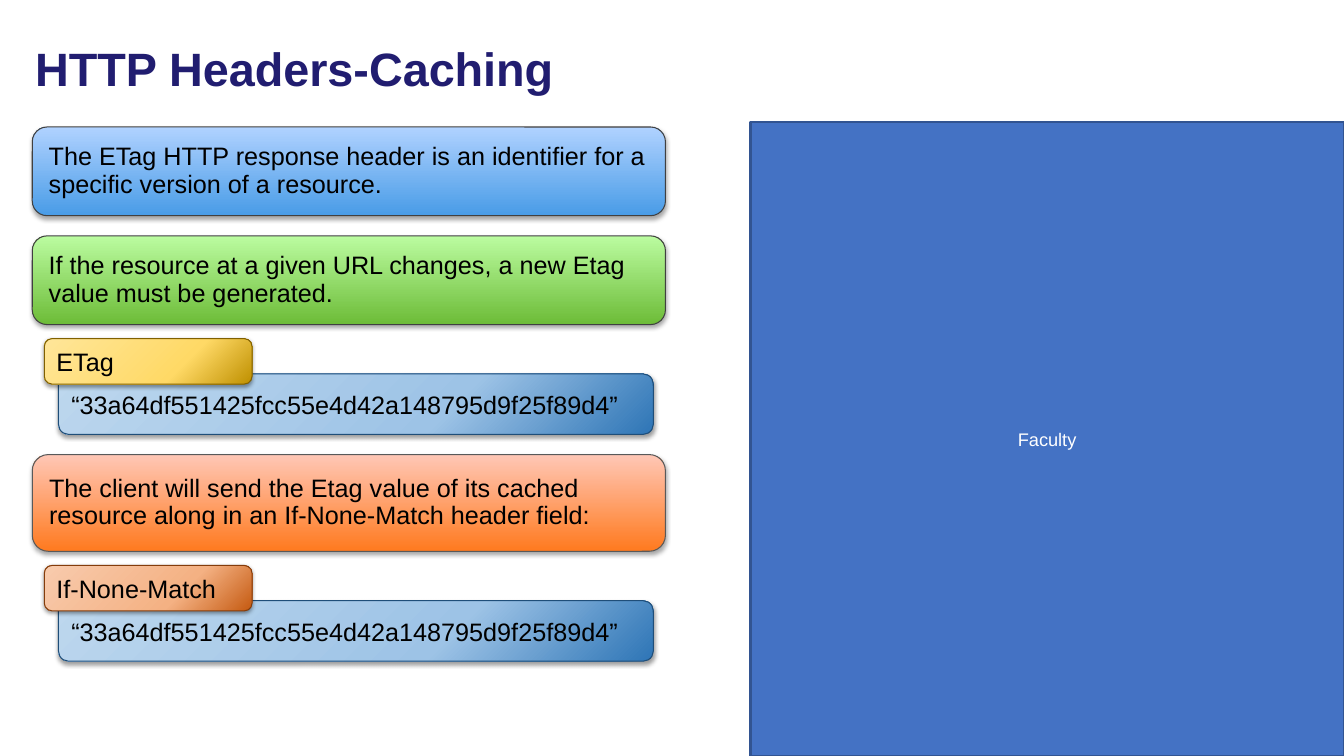
"""Build the slide on HTTP caching headers."""
import pptx
import pptx.dml.color
import pptx.enum.shapes
import pptx.enum.text
import pptx.oxml
import pptx.util
from pptx.oxml.ns import nsdecls

SLIDE_W, SLIDE_H = 13.33, 7.5
TITLE = "HTTP Headers-Caching"
PANEL = "Faculty"
ETAG = "“33a64df551425fcc55e4d42a148795d9f25f89d4”"
VALUE_STOPS = [(0, "2E75B6"), (35, "9DC3E6"), (100, "BDD7EE")]
STEPS = [
    {"statement": "The ETag HTTP response header is an identifier for a specific version of a resource.",
     "height": 0.88, "stops": [(0, "499CE7"), (100, "B0D2FF")], "edge": "404040"},
    {"statement": "If the resource at a given URL changes, a new Etag value must be generated.",
     "height": 0.88, "stops": [(0, "6DBC38"), (100, "BBFCA0")], "edge": "404040",
     "header": ("ETag", [(0, "BF9000"), (35, "FFD966"), (100, "FFE699")], "806000")},
    {"statement": "The client will send the Etag value of its cached resource along in an If-None-Match header field:",
     "height": 0.96, "stops": [(0, "FF7A1F"), (100, "FFC7B6")], "edge": "595959",
     "header": ("If-None-Match", [(0, "C55A11"), (35, "F4B183"), (100, "F8CBAD")], "843C0B")},
]

CARD_X, CARD_W, FIRST_Y = 0.32, 6.28, 1.26
CARD_GAP, HEADER_GAP = 0.2, 0.14
TAG_X, TAG_W, TAG_H = 0.44, 2.06, 0.45
VALUE_X, VALUE_W, VALUE_H, VALUE_DROP = 0.58, 5.9, 0.6, 0.35
PANEL_X, PANEL_Y = 7.44, 1.21

SHAPES = pptx.enum.shapes.MSO_SHAPE
ALIGN = pptx.enum.text.PP_ALIGN


def rgb(code):
    return pptx.dml.color.RGBColor.from_string(code)


def inches(*lengths):
    return [pptx.util.Inches(length) for length in lengths]


def write(holder, text, size, color, margins, align=ALIGN.LEFT, spacing=1.0, bold=False):
    frame = holder.text_frame
    frame.word_wrap = True
    frame.vertical_anchor = pptx.enum.text.MSO_ANCHOR.MIDDLE
    frame.margin_left = frame.margin_right = pptx.util.Inches(margins[0])
    frame.margin_top = frame.margin_bottom = pptx.util.Inches(margins[1])
    paragraph = frame.paragraphs[0]
    paragraph.alignment = align
    paragraph.line_spacing = spacing
    run = paragraph.add_run()
    run.text = text
    run.font.name = "Arial"
    run.font.size = pptx.util.Pt(size)
    run.font.bold = bold
    run.font.color.rgb = rgb(color)


def add_block(slide, kind, box, edge, edge_width):
    block = slide.shapes.add_shape(kind, *inches(*box))
    block.shadow.inherit = False
    block.line.color.rgb = rgb(edge)
    block.line.width = pptx.util.Pt(edge_width)
    return block


def add_glossy(slide, box, stops, edge, angle, opacity, drop):
    block = add_block(slide, SHAPES.ROUNDED_RECTANGLE, box, edge, 0.75)
    block.fill.gradient()
    block.fill.gradient_angle = angle
    properties = block._element.spPr
    stop_list = properties.find(".//" + pptx.oxml.ns.qn("a:gsLst"))
    for stop in list(stop_list):
        stop_list.remove(stop)
    for position, color in stops:
        stop_list.append(pptx.oxml.parse_xml(
            f'<a:gs {nsdecls("a")} pos="{position * 1000}"><a:srgbClr val="{color}"/></a:gs>'))
    effects = properties.find(pptx.oxml.ns.qn("a:effectLst"))
    effects.append(pptx.oxml.parse_xml(
        f'<a:outerShdw {nsdecls("a")} blurRad="{pptx.util.Pt(3.1)}" dist="{pptx.util.Pt(drop)}" '
        f'dir="5400000" rotWithShape="0"><a:srgbClr val="000000">'
        f'<a:alpha val="{opacity * 1000}"/></a:srgbClr></a:outerShdw>'))
    return block


def add_header(slide, top, name, stops, edge):
    parts = [
        ((VALUE_X, top + VALUE_DROP, VALUE_W, VALUE_H), VALUE_STOPS, "1F4E79", ETAG, (0.1, 0.12)),
        ((TAG_X, top, TAG_W, TAG_H), stops, edge, name, (0.1, 0.05)),
    ]
    for box, colors, outline, text, margins in parts:
        write(add_glossy(slide, box, colors, outline, 135, 38, 1.6), text, 18, "000000", margins)


def main():
    deck = pptx.Presentation()
    deck.slide_width, deck.slide_height = inches(SLIDE_W, SLIDE_H)
    slide = deck.slides.add_slide(deck.slide_layouts[6])

    panel_box = (PANEL_X, PANEL_Y, SLIDE_W - PANEL_X, SLIDE_H - PANEL_Y)
    panel = add_block(slide, SHAPES.RECTANGLE, panel_box, "325491", 2)
    panel.fill.solid()
    panel.fill.fore_color.rgb = rgb("4472C4")
    write(panel, PANEL, 13, "FFFFFF", (0.1, 0.05), ALIGN.CENTER)

    title = slide.shapes.add_textbox(*inches(0.25, 0.25, 11.81, 0.91))
    write(title, TITLE, 33.4, "211D70", (0.1, 0.05), spacing=0.9, bold=True)

    top = FIRST_Y
    for step in STEPS:
        box = (CARD_X, top, CARD_W, step["height"])
        card = add_glossy(slide, box, step["stops"], step["edge"], 90, 35, 1.8)
        write(card, step["statement"], 18, "000000", (0.12, 0.12), spacing=0.9)
        top += step["height"]
        if "header" in step:
            top += HEADER_GAP
            add_header(slide, top, *step["header"])
            top += VALUE_DROP + VALUE_H
        top += CARD_GAP

    deck.save("out.pptx")


if __name__ == "__main__":
    main()
